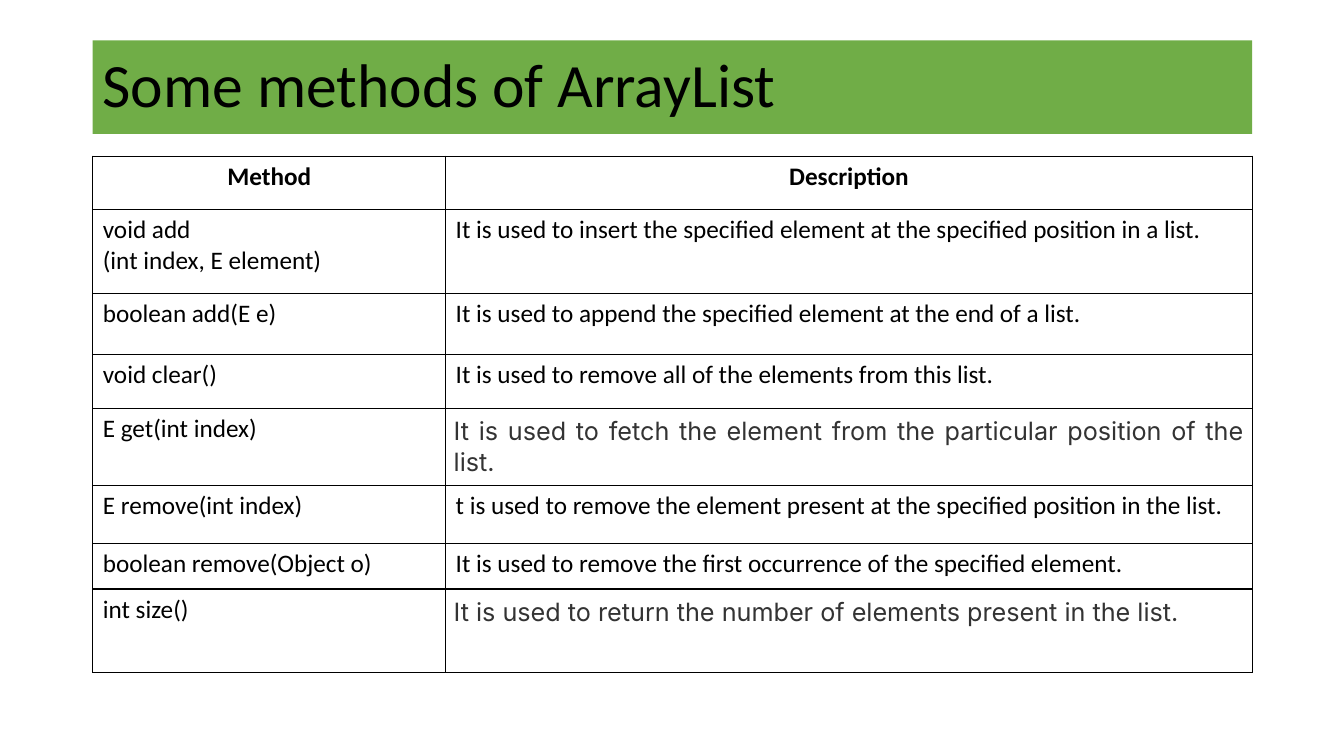
from dataclasses import dataclass

from lxml.etree import SubElement
from pptx import Presentation
from pptx.dml.color import RGBColor as RGB
from pptx.enum.shapes import MSO_SHAPE as Shape
from pptx.enum.text import MSO_ANCHOR as Anchor, PP_ALIGN as Align
from pptx.oxml.ns import qn
from pptx.util import Pt

PX = 9144  # EMU in one px: 100 px to the inch


@dataclass(frozen=True)
class Theme:
    black: str = "000000"
    gray: str = "333333"
    green: str = "70AD47"
    body: str = "Calibri"
    web: str = "Inter"
    head: int = 44
    text: int = 18
    rule: int = 1


THEME = Theme()
TITLE = "Some methods of ArrayList"
COLS = (350, 800)
# Row height, method, description, whether the description is in the web style
ROWS = (
    (53, "Method", "Description", False),
    (83, "void add\n(int index, E element)",
     "It is used to insert the specified element at the specified position in a list.", False),
    (61, "boolean add(E e)",
     "It is used to append the specified element at the end of a list.", False),
    (53, "void clear()",
     "It is used to remove all of the elements from this list.", False),
    (55, "E get(int index)",
     "It is used to fetch the element from the particular position of the list.", True),
    (58, "E remove(int index)",
     "t is used to remove the element present at the specified position in the list.", False),
    (45, "boolean remove(Object o)",
     "It is used to remove the first occurrence of the specified element.", False),
    (83, "int size()",
     "It is used to return the number of elements present in the list.", True),
)


def scale(box):
    return [n * PX for n in box]


def style(para, size, name=THEME.body, color=THEME.black, bold=False, align=Align.LEFT):
    font = para.font
    font.size, font.name, font.bold = Pt(size), name, bold
    font.color.rgb = RGB.from_string(color)
    para.alignment = align


def add_title(slide, box):
    bar = slide.shapes.add_shape(Shape.RECTANGLE, *scale(box))
    bar.shadow.inherit = False
    bar.fill.solid()
    bar.fill.fore_color.rgb = RGB.from_string(THEME.green)
    bar.line.fill.background()
    frame = bar.text_frame
    frame.word_wrap = True
    frame.vertical_anchor = Anchor.MIDDLE
    frame.text = TITLE
    para = frame.paragraphs[0]
    para.line_spacing = 0.9
    style(para, THEME.head)


def add_rules(cell):
    """Draw the four borders, which come before the fill in the cell's XML."""
    props = cell._tc.get_or_add_tcPr()
    for side in ("lnL", "lnR", "lnT", "lnB"):
        line = SubElement(props, qn(f"a:{side}"), w=str(Pt(THEME.rule)))
        fill = SubElement(line, qn("a:solidFill"))
        SubElement(fill, qn("a:srgbClr"), val=THEME.black)


def fill_cell(cell, text, head, web):
    add_rules(cell)
    cell.fill.background()
    cell.text = text
    look = {}
    if head:
        look = dict(bold=True, align=Align.CENTER)
    elif web:
        look = dict(name=THEME.web, color=THEME.gray, align=Align.JUSTIFY)
        pad = 8 * PX
        cell.margin_left = cell.margin_right = pad
        cell.margin_top = cell.margin_bottom = pad
    for para in cell.text_frame.paragraphs:
        style(para, THEME.text, **look)


def add_methods(slide, box):
    grid = slide.shapes.add_table(len(ROWS), len(COLS), *scale(box)).table
    grid.horz_banding = False
    for col, width in zip(grid.columns, COLS):
        col.width = width * PX
    for i, (height, method, about, web) in enumerate(ROWS):
        grid.rows[i].height = height * PX
        fill_cell(grid.cell(i, 0), method, i == 0, False)
        fill_cell(grid.cell(i, 1), about, i == 0, web)


def main():
    deck = Presentation()
    deck.slide_width, deck.slide_height = scale((1333, 750))
    slide = deck.slides.add_slide(deck.slide_layouts[6])
    left, width = 92, sum(COLS)
    add_title(slide, (left, 40, width, 93))
    add_methods(slide, (left, 155, width, sum(row[0] for row in ROWS)))
    deck.save("out.pptx")


if __name__ == "__main__":
    main()
